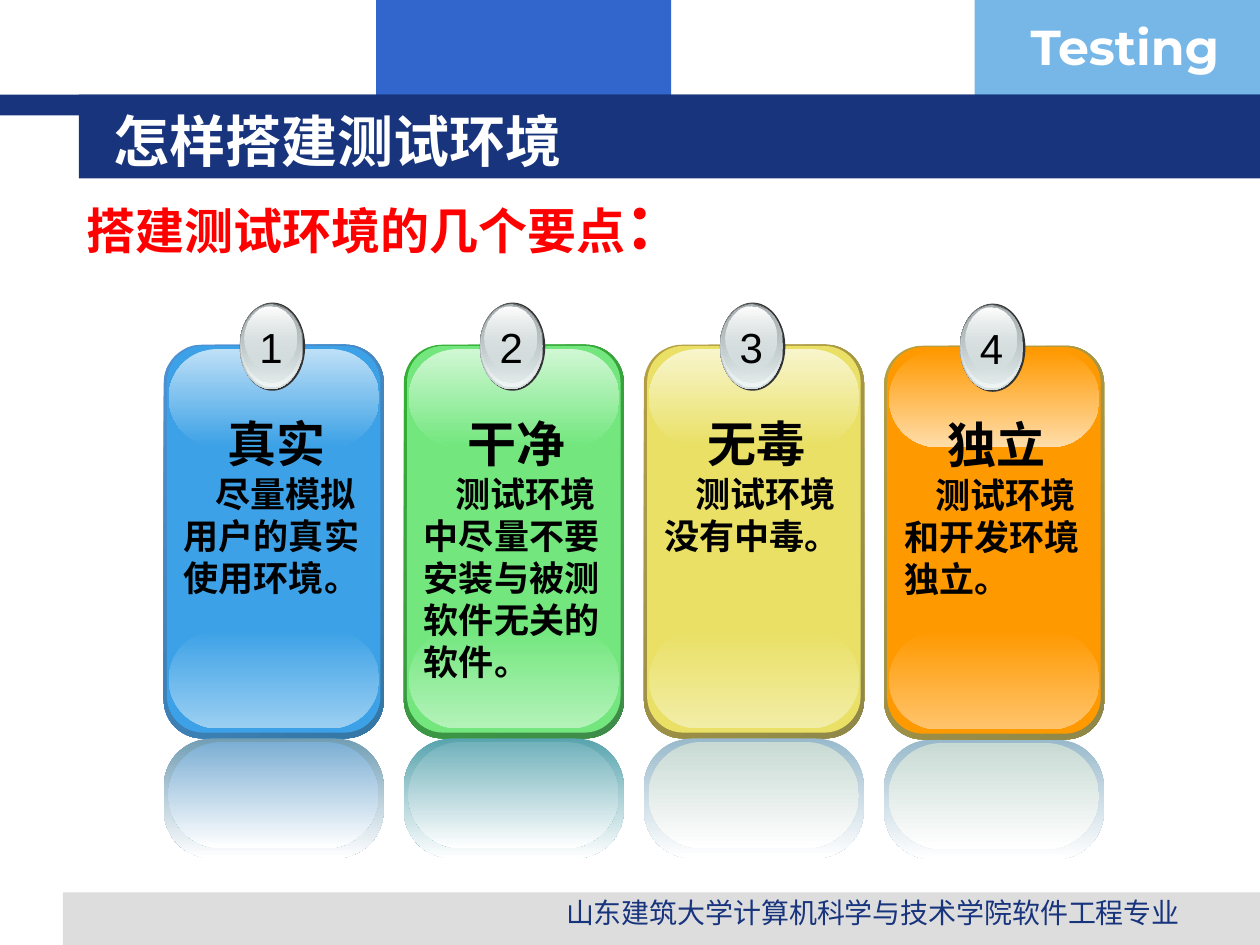
import pptx
import pptx.dml.color
import pptx.enum.shapes
import pptx.enum.text
import pptx.oxml.ns
import pptx.util
from lxml import etree

Pt = pptx.util.Pt
SHAPE = pptx.enum.shapes.MSO_SHAPE
ALIGN = pptx.enum.text.PP_ALIGN
ANCHOR = pptx.enum.text.MSO_ANCHOR
qn = pptx.oxml.ns.qn

NAVY = "17347D"
WHITE = "FFFFFF"
BLACK = "000000"
SILVER = "D6E1E2"
CARD_LEFT = 93.6
CARD_PITCH = 137.2

CARDS = [
    ("真实", "尽量模拟用户的真实使用环境。", "DejaVu Sans", "3CA1E6", ("4E91D4", "3477A4"),
     ("BEE0F7", "3CA1E6"), "9BCFF2", "729EB4", "7DAFD4", 0),
    ("干净", "测试环境中尽量不要安装与被测软件无关的软件。", "Arial", "73E77E", ("34B034", "3F8B4A"),
     ("D0F7D4", "73E77E"), "B3F2B9", "58A4AE", "72B2BB", 0),
    ("无毒", "测试环境没有中毒。", "Arial", "E9E065", ("B59F43", "8F8849"),
     ("F8F5CC", "E9E065"), "F2EDA6", "99BACC", "C8DAD4", 0),
    ("独立", "测试环境和开发环境独立。", "Arial", "FF9900", ("B59F43", "8F8849"),
     ("FF9900", "FFDDAA"), "FFC46C", "99BACC", "C8DAD4", 0.6),
]

BADGE_LAYERS = [
    (43.4, 172.9, 37.4, 50.4, "333333", (100, 100)),
    (43.4, 173.3, 36, 49, ("636869", SILVER), (100, 100)),
    (43.9, 173.6, 35.3, 47.5, (SILVER, "F1F5F5"), (0, 100)),
    (44.5, 174, 33.8, 44.6, ("AAB2B3", SILVER), (100, 48)),
    (46.3, 175, 29.5, 36, (WHITE, SILVER), (100, 38)),
]


def color(value):
    return pptx.dml.color.RGBColor.from_string(value)


class SlideBuilder:
    def __init__(self, slide):
        self.slide = slide

    def shape(self, kind, left, top, width, height, fill, angle=90, alphas=(100, 100), corner=None):
        shape = self.slide.shapes.add_shape(kind, Pt(left), Pt(top), Pt(width), Pt(height))
        shape.shadow.inherit = False
        if corner is not None:
            shape.adjustments[0] = corner
        if isinstance(fill, str):
            shape.fill.solid()
            shape.fill.fore_color.rgb = color(fill)
        else:
            shape.fill.gradient()
            shape.fill.gradient_angle = 360 - angle
            for stop, value in zip(shape.fill.gradient_stops, fill):
                stop.color.rgb = color(value)
            for element, alpha in zip(shape.element.spPr.iter(qn("a:srgbClr")), alphas):
                if alpha < 100:
                    etree.SubElement(element, qn("a:alpha"), val=str(alpha * 1000))
        shape.line.fill.background()

    def rectangle(self, left, top, width, height, fill):
        self.shape(SHAPE.RECTANGLE, left, top, width, height, fill)

    def rounded(self, left, top, width, height, fill, corner=0.5, angle=90):
        self.shape(SHAPE.ROUNDED_RECTANGLE, left, top, width, height, fill, angle, corner=corner)

    def format(self, paragraph, size, font, fill, bold=False, align=ALIGN.LEFT):
        paragraph.alignment = align
        paragraph.font.size = Pt(size)
        paragraph.font.name = font
        paragraph.font.bold = bold
        paragraph.font.color.rgb = color(fill)

    def text(self, left, top, width, height, text, size, font, fill,
             bold=False, align=ALIGN.LEFT, wrap=True):
        box = self.slide.shapes.add_textbox(Pt(left), Pt(top), Pt(width), Pt(height))
        box.text_frame.word_wrap = wrap
        paragraph = box.text_frame.paragraphs[0]
        paragraph.text = text
        self.format(paragraph, size, font, fill, bold, align)
        return box.text_frame

    def title(self, left, top, width, height, text):
        title = self.slide.shapes.title
        title.left, title.top, title.width, title.height = Pt(left), Pt(top), Pt(width), Pt(height)
        frame = title.text_frame
        frame.text = text
        frame.auto_size = pptx.enum.text.MSO_AUTO_SIZE.NONE
        frame.vertical_anchor = ANCHOR.MIDDLE
        self.format(frame.paragraphs[0], 32, "DejaVu Sans", WHITE, bold=True)
        title.element.getparent().append(title.element)

    def badge(self, left, shift, number):
        for offset, top, width, height, fill, alphas in BADGE_LAYERS:
            self.shape(SHAPE.OVAL, left + offset, top + shift, width, height, fill, alphas=alphas)
        self.text(left + 47.6, 180 + shift, 27.4, 36, str(number), 24, "Arial", BLACK,
                  align=ALIGN.CENTER, wrap=False)

    def card(self, number, heading, body, font, fill, rim, gloss, glow, mirror, mirror_core, shift):
        left = CARD_LEFT + CARD_PITCH * (number - 1)
        self.rounded(left, 197 + shift, 125.8, 224.9, rim, 0.174, 45)
        self.rounded(left + 1.8, 197.7 + shift, 122, 221, fill, 0.17)
        self.rounded(left + 2.9, 360 + shift, 120.2, 56.2, (fill, glow))
        self.rounded(left + 2.9, 199.5 + shift, 120.2, 55.4, gloss)
        self.rounded(left, 422 + shift, 125.6, 68.4, (mirror, WHITE), 0.4)
        self.rounded(left + 2.6, 424 + shift, 120.2, 60.8, (mirror_core, WHITE))
        self.badge(left, shift, number)
        frame = self.text(left + 4.4, 232.6 + shift, 119.5, 160, heading, 28, font, BLACK,
                          bold=True, align=ALIGN.CENTER)
        paragraph = frame.add_paragraph()
        paragraph.text = body
        paragraph._p.get_or_add_pPr().set("indent", str(Pt(18)))
        self.format(paragraph, 20, font, BLACK, bold=True)


def main():
    presentation = pptx.Presentation()
    presentation.slide_width, presentation.slide_height = Pt(720), Pt(540)
    builder = SlideBuilder(presentation.slides.add_slide(presentation.slide_layouts[5]))

    builder.rectangle(215, 0, 168.5, 66, "3366CC")
    builder.rectangle(557, 0, 163, 66, "77B7E7")
    builder.rectangle(36, 510, 684, 30, "DDDDDD")
    builder.rectangle(0, 54, 720, 12, NAVY)
    builder.rectangle(45, 54, 675, 48, NAVY)
    builder.text(581.8, 5.8, 138.2, 41, "Testing", 28, "Montserrat", WHITE, bold=True)
    builder.text(292, 508.3, 414, 22.5, "山东建筑大学计算机科学与技术学院软件工程专业", 16, "Arial", NAVY,
                 align=ALIGN.CENTER)
    builder.title(57.6, 57.6, 614, 44.6, "怎样搭建测试环境")

    for number, card in enumerate(CARDS, 1):
        builder.card(number, *card)

    frame = builder.text(42.5, 111.6, 481.7, 45.4, "搭建测试环境的几个要点", 28, "Arial", "FF0000", bold=True)
    paragraph = frame.paragraphs[0]
    paragraph.line_spacing = 0.8
    colon = paragraph.add_run()
    colon.text = "："
    colon.font.size = Pt(36)

    presentation.save("out.pptx")


if __name__ == "__main__":
    main()
